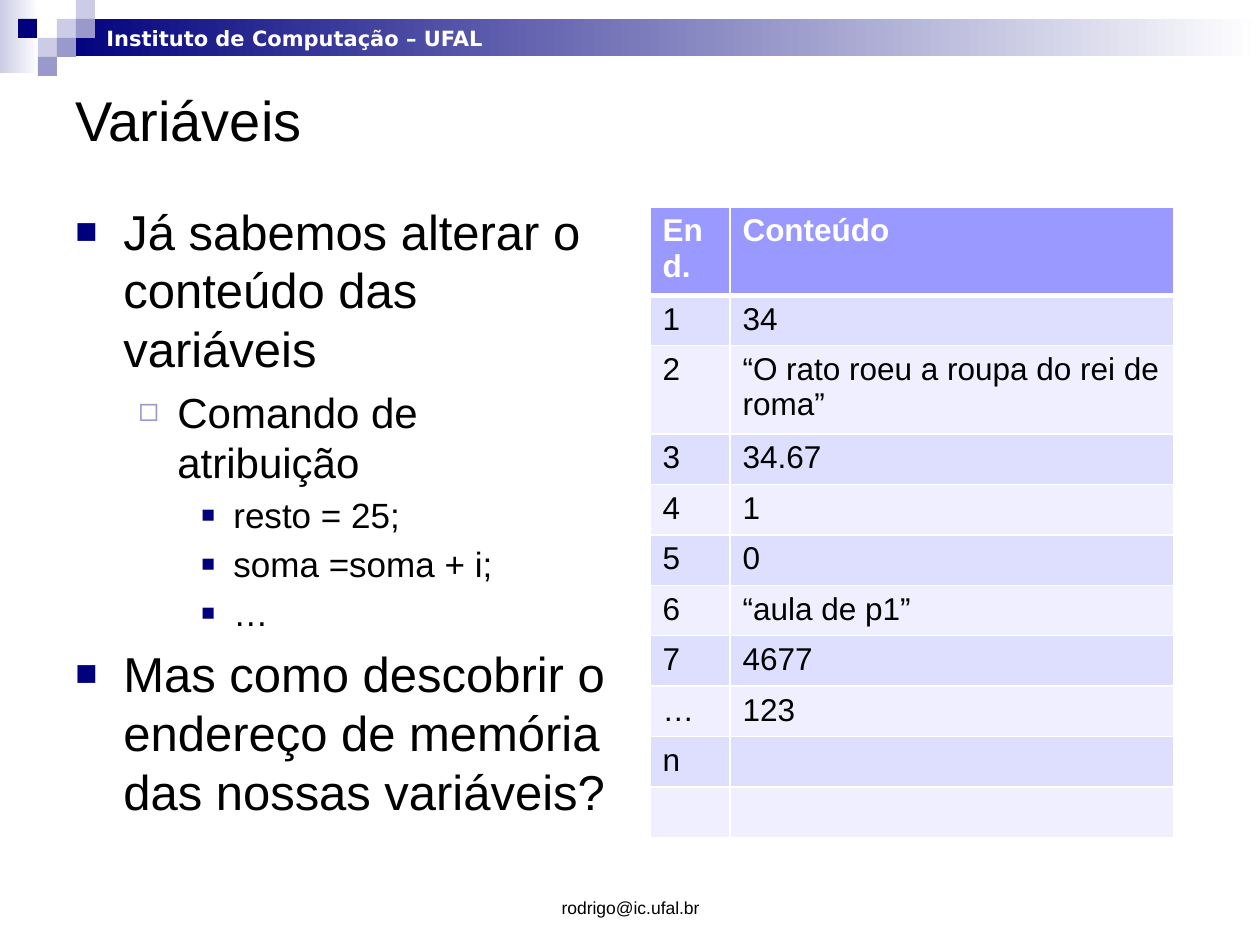
from dataclasses import dataclass

from lxml import etree
from pptx import Presentation, util as u
from pptx.dml.color import RGBColor
from pptx.enum import shapes, text
from pptx.oxml.ns import qn

SCALE = 914400 / 126


@dataclass(frozen=True)
class Theme:
    """Colours, fonts and type sizes of the slide."""
    navy: str = "00007D"
    violet: str = "9999CC"
    mist: str = "CCCCE6"
    white: str = "FFFFFF"
    black: str = "000000"
    header: str = "9999FF"
    bands: tuple = ("DEDEFF", "EFEFFF")
    font: str = "Arial"
    banner_font: str = "DejaVu Sans"
    title: int = 32
    body: tuple = (28, 24, 20)
    table: int = 18
    banner: int = 12
    footer: int = 10


THEME = Theme()
BULLETS = (("■", THEME.navy, 75, 48, 48), ("◻", THEME.violet, 80, 102, 39),
           ("■", THEME.navy, 65, 158, 32))
SQUARES = ((57, 19, THEME.mist), (76, 0, THEME.mist), (76, 19, THEME.violet),
           (38, 38, THEME.mist), (18, 19, THEME.navy), (57, 38, THEME.violet),
           (38, 57, THEME.violet))
OUTLINE = ((0, "Já sabemos alterar o conteúdo das variáveis"),
           (1, "Comando de atribuição"),
           (2, "resto = 25;"),
           (2, "soma =soma + i;"),
           (2, "…"),
           (0, "Mas como descobrir o endereço de memória das nossas variáveis?"))
MEMORY = (("End.", "Conteúdo"), ("1", "34"),
          ("2", "“O rato roeu a roupa do rei de roma”"), ("3", "34.67"),
          ("4", "1"), ("5", "0"), ("6", "“aula de p1”"), ("7", "4677"),
          ("…", "123"), ("n", ""), ("", ""))
TALL_ROWS = (0, 2)


def px(length):
    """Turn pixels into EMU."""
    return u.Emu(round(length * SCALE))


def colour(code):
    """Return the colour of a hex code."""
    return RGBColor.from_string(code)


def style(paragraph, size, code=THEME.black, font=THEME.font, bold=False):
    """Set the font of a paragraph."""
    paragraph.font.name = font
    paragraph.font.size = u.Pt(size)
    paragraph.font.bold = bold
    paragraph.font.color.rgb = colour(code)


def add_block(slide, box, start, end=None):
    """Add a rectangle with a plain fill or a left-to-right gradient."""
    shape = slide.shapes.add_shape(shapes.MSO_SHAPE.RECTANGLE, *map(px, box))
    shape.shadow.inherit = False
    shape.line.fill.background()
    if end is None:
        shape.fill.solid()
        shape.fill.fore_color.rgb = colour(start)
        return
    shape.fill.gradient()
    shape.fill.gradient_angle = 0
    for stop, code, position in zip(shape.fill.gradient_stops, (start, end), (0, 1)):
        stop.color.rgb = colour(code)
        stop.position = position


def add_text(slide, box, anchor, wrap=True):
    """Add an empty text box and return its frame."""
    frame = slide.shapes.add_textbox(*map(px, box)).text_frame
    frame.word_wrap = wrap
    frame.vertical_anchor = anchor
    return frame


def add_line(slide, box, words, anchor, size, wrap=True, **looks):
    """Add a text box with one paragraph and return the paragraph."""
    paragraph = add_text(slide, box, anchor, wrap).paragraphs[0]
    paragraph.text = words
    style(paragraph, size, **looks)
    return paragraph


def set_bullet(paragraph, level):
    """Give a paragraph the bullet and indent of its level."""
    mark, code, percent, margin, hanging = BULLETS[level]
    properties = paragraph._p.get_or_add_pPr()
    properties.set("marL", str(px(margin)))
    properties.set("indent", str(px(-hanging)))
    before = etree.SubElement(properties, qn("a:spcBef"))
    etree.SubElement(before, qn("a:spcPct"), val="20000")
    tint = etree.SubElement(properties, qn("a:buClr"))
    etree.SubElement(tint, qn("a:srgbClr"), val=code)
    etree.SubElement(properties, qn("a:buSzPct"), val=str(percent * 1000))
    etree.SubElement(properties, qn("a:buFont"), typeface=THEME.font)
    etree.SubElement(properties, qn("a:buChar"), char=mark)


def add_outline(slide, box, items):
    """Add the bulleted text."""
    frame = add_text(slide, box, text.MSO_ANCHOR.TOP)
    for index, (level, words) in enumerate(items):
        paragraph = frame.add_paragraph() if index else frame.paragraphs[0]
        paragraph.text = words
        paragraph.level = level
        set_bullet(paragraph, level)
        style(paragraph, THEME.body[level])


def set_borders(cell, bottom):
    """Draw white borders around a cell."""
    properties = cell._tc.get_or_add_tcPr()
    for index, (side, width) in enumerate((("L", 1), ("R", 1), ("T", 1), ("B", bottom))):
        line = etree.Element(qn(f"a:ln{side}"), w=str(u.Pt(width)))
        fill = etree.SubElement(line, qn("a:solidFill"))
        etree.SubElement(fill, qn("a:srgbClr"), val=THEME.white)
        properties.insert(index, line)


def add_memory_table(slide, box, widths, rows):
    """Add the table of memory addresses."""
    table = slide.shapes.add_table(len(rows), len(widths), *map(px, box)).table
    for column, width in zip(table.columns, widths):
        column.width = px(width)
    for index, row in enumerate(rows):
        head = index == 0
        table.rows[index].height = px(83 if index in TALL_ROWS else 48)
        for cell, words in zip(table.rows[index].cells, row):
            cell.text = words
            cell.fill.solid()
            cell.fill.fore_color.rgb = colour(
                THEME.header if head else THEME.bands[(index - 1) % 2])
            style(cell.text_frame.paragraphs[0], THEME.table,
                  THEME.white if head else THEME.black, bold=head)
            set_borders(cell, 3 if head else 1)


def add_banner(slide):
    """Add the band, the squares and the name at the top."""
    add_block(slide, (0, 0, 39, 73), THEME.mist, THEME.white)
    add_block(slide, (57, 19, 1203, 37), THEME.navy, THEME.white)
    for left, top, code in SQUARES:
        add_block(slide, (left, top, 19, 19), code)
    add_line(slide, (94, 19, 408, 38), "Instituto de Computação – UFAL",
             text.MSO_ANCHOR.TOP, THEME.banner, wrap=False,
             code=THEME.white, font=THEME.banner_font, bold=True)


def main():
    """Build the slide and save it."""
    presentation = Presentation()
    presentation.slide_width, presentation.slide_height = px(1260), px(945)
    slide = presentation.slides.add_slide(presentation.slide_layouts[6])
    add_banner(slide)
    add_line(slide, (63, 63, 1134, 112), "Variáveis",
             text.MSO_ANCHOR.MIDDLE, THEME.title)
    add_outline(slide, (63, 195, 557, 655), OUTLINE)
    footer = add_line(slide, (431, 861, 399, 63), "rodrigo@ic.ufal.br",
                      text.MSO_ANCHOR.BOTTOM, THEME.footer)
    footer.alignment = text.PP_ALIGN.CENTER
    add_memory_table(slide, (650, 207, 524, 598), (80, 444), MEMORY)
    presentation.save("out.pptx")


if __name__ == "__main__":
    main()
